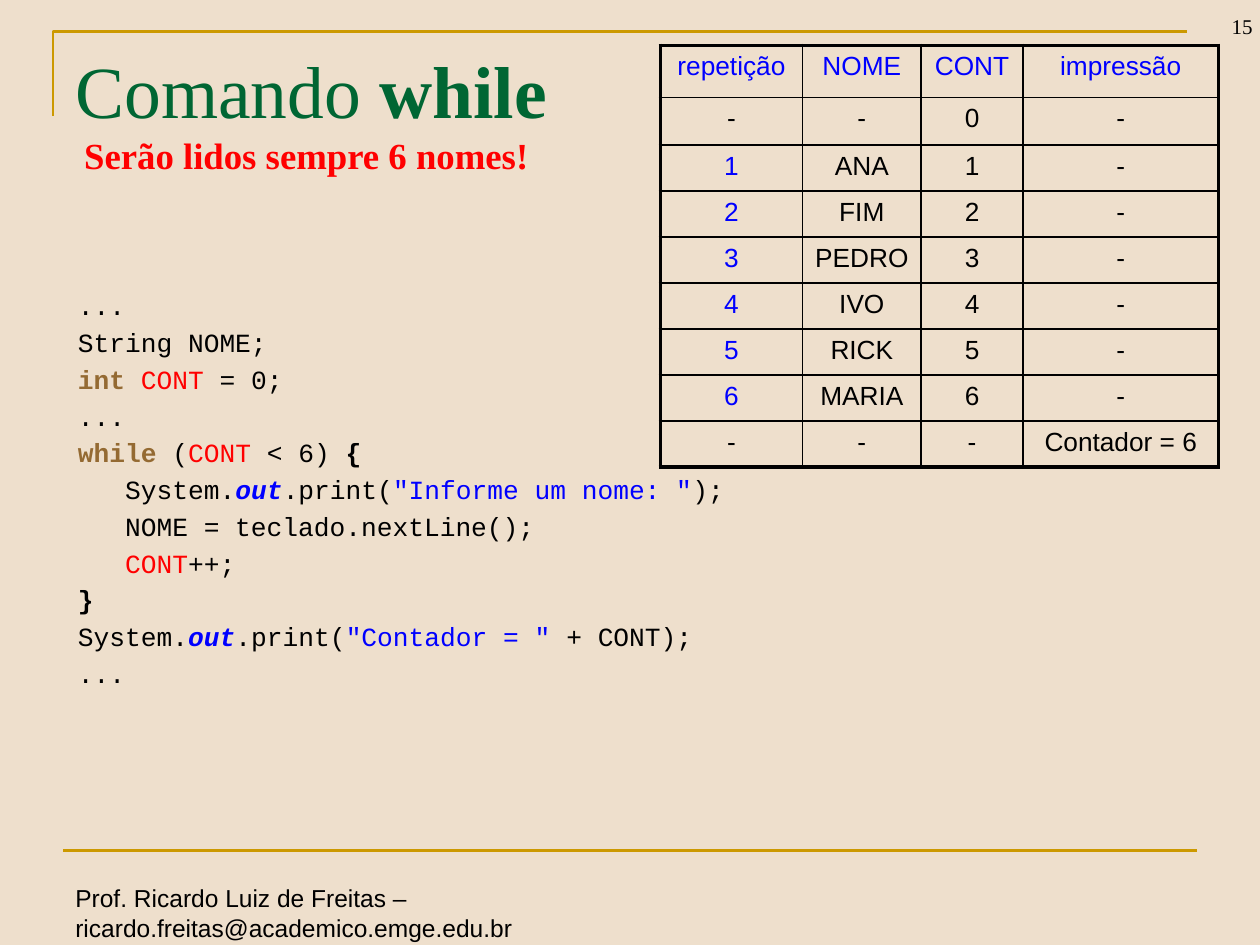
from lxml.etree import SubElement
from pptx import Presentation
from pptx.dml.color import RGBColor
from pptx.enum.shapes import MSO_CONNECTOR
from pptx.enum.text import MSO_ANCHOR, PP_ALIGN
from pptx.oxml import parse_xml
from pptx.oxml.ns import nsdecls, qn
from pptx.util import Inches, Pt

COLORS = {"sand": "EEDFCC", "gold": "CC9900", "green": "006633", "red": "FF0000",
          "brown": "946A32", "blue": "0000FF", "black": "000000"}

# Run styles: colour, bold, italic
STYLES = {"plain": ("black", False, False), "strong": ("black", True, False),
          "keyword": ("brown", True, False), "variable": ("red", False, False),
          "string": ("blue", False, False), "field": ("blue", True, True),
          "title": ("green", False, False), "title strong": ("green", True, False),
          "notice": ("red", True, False)}

presentation = Presentation()
presentation.slide_width, presentation.slide_height = Inches(10), Inches(7.5)
slide = presentation.slides.add_slide(presentation.slide_layouts[6])
slide.background.fill.solid()
slide.background.fill.fore_color.rgb = RGBColor.from_string(COLORS["sand"])


def shares(*values):
    """Turn alternating percentages of slide width and height into lengths."""
    sides = (presentation.slide_width, presentation.slide_height)
    return [int(sides[index % 2] * value / 100) for index, value in enumerate(values)]


def write_text(frame, lines, size, font, align=PP_ALIGN.LEFT, anchor=MSO_ANCHOR.TOP,
               gap=0, left=0, first=0):
    """Write lines of (text, style) runs, one paragraph to a line."""
    frame.word_wrap = True
    frame.vertical_anchor = anchor
    for index, line in enumerate(lines):
        paragraph = frame.paragraphs[0] if index == 0 else frame.add_paragraph()
        paragraph.alignment = align
        paragraph.space_before = Pt(gap if index else 0)
        properties = paragraph._p.get_or_add_pPr()
        properties.set("marL", str(Inches(left)))
        properties.set("indent", str(Inches(first)))
        for text, style in line:
            run = paragraph.add_run()
            run.text = text
            color, run.font.bold, run.font.italic = STYLES[style]
            run.font.color.rgb = RGBColor.from_string(COLORS[color])
            run.font.size, run.font.name = Pt(size), font


# Gold corner at the top and rule at the bottom
left, top, right, bottom = shares(4.2, 3.33, 94.2, 12.27)
builder = slide.shapes.build_freeform(left, bottom)
builder.add_line_segments([(left, top), (right, top)], close=False)
corner = builder.convert_to_shape()
corner.fill.background()
corner.shadow.inherit = False
rule = slide.shapes.add_connector(MSO_CONNECTOR.STRAIGHT, *shares(5, 90, 95, 90))
SubElement(rule._element.spPr, qn("a:effectLst"))
for outline in (corner.line, rule.line):
    outline.color.rgb = RGBColor.from_string(COLORS["gold"])
    outline.width = Pt(1.5)

# Footer, which wraps before the address, and page number
footer = slide.shapes.add_textbox(*shares(5, 92.8, 60, 4.53))
write_text(footer.text_frame, [
    [("Prof. Ricardo Luiz de Freitas – ricardo.freitas@academico.emge.edu.br", "plain")],
], size=14, font="Arial")
page_number = slide.shapes.add_textbox(*shares(92.9, -1.87, 7.5, 6.67))
write_text(page_number.text_frame, [[("15", "plain")]], size=12,
           font="Times New Roman", align=PP_ALIGN.RIGHT, anchor=MSO_ANCHOR.BOTTOM)

# Title with its notice
title = slide.shapes.add_textbox(*shares(5, 3.4, 90, 16.67))
write_text(title.text_frame, [
    [("Comando ", "title"), ("while", "title strong")],
    [("Serão lidos sempre 6 nomes!", "notice")],
], size=42, font="Times New Roman", anchor=MSO_ANCHOR.MIDDLE)
notice = title.text_frame.paragraphs[1]
notice.runs[0].font.size = Pt(21)
notice._p.get_or_add_pPr().set("marL", str(Inches(0.07)))

# Code listing
code = [
    [("...", "plain")],
    [("String NOME;", "plain")],
    [("int ", "keyword"), ("CONT", "variable"), (" = 0;", "plain")],
    [("...", "plain")],
    [("while", "keyword"), (" (", "plain"), ("CONT", "variable"), (" < 6) ", "plain"),
     ("{", "strong")],
    [("   System.", "plain"), ("out", "field"), (".print(", "plain"),
     ('"Informe um nome: "', "string"), (");", "plain")],
    [("   NOME = teclado.nextLine();", "plain")],
    [("   ", "plain"), ("CONT", "variable"), ("++;", "plain")],
    [("}", "strong")],
    [("System.", "plain"), ("out", "field"), (".print(", "plain"),
     ('"Contador = " ', "string"), ("+ CONT);", "plain")],
    [("...", "plain")],
]
listing = slide.shapes.add_textbox(*shares(5.1, 30, 63.1, 56.67))
write_text(listing.text_frame, code, size=15, font="Courier New",
           gap=3, left=0.39, first=-0.38)

# Trace table: each name read raises the counter by one
names = ["ANA", "FIM", "PEDRO", "IVO", "RICK", "MARIA"]
rows = [["repetição", "NOME", "CONT", "impressão"], ["-", "-", "0", "-"]]
rows += [[str(count), name, str(count), "-"] for count, name in enumerate(names, 1)]
rows.append(["-", "-", "-", "Contador = 6"])
last_row, last_column = len(rows) - 1, len(rows[0]) - 1

table = slide.shapes.add_table(len(rows), len(rows[0]),
                               *shares(52.4, 4.8, 44.3, 44.67)).table
table.first_row = table.horz_banding = False
for column, width in zip(table.columns, (11.3, 9.4, 8.1, 15.5)):
    column.width = shares(width)[0]
for row, height in zip(table.rows, [5.5, 5.07] + [4.87] * 7):
    row.height = shares(0, height)[1]

for row_index, values in enumerate(rows):
    for column_index, value in enumerate(values):
        cell = table.cell(row_index, column_index)
        cell.margin_left = cell.margin_right = Inches(0.05)
        cell.fill.background()
        is_blue = row_index == 0 or (column_index == 0 and value != "-")
        write_text(cell.text_frame, [[(value, "string" if is_blue else "plain")]],
                   size=15, font="Arial", align=PP_ALIGN.CENTER)
        # Thick outer border, thin inner lines
        outer_sides = {"lnL": column_index == 0, "lnR": column_index == last_column,
                       "lnT": row_index == 0, "lnB": row_index == last_row}
        for position, (side, is_outer) in enumerate(outer_sides.items()):
            border = parse_xml(
                f'<a:{side} {nsdecls("a")} w="{Pt(2.25 if is_outer else 1)}"><a:solidFill>'
                f'<a:srgbClr val="{COLORS["black"]}"/></a:solidFill></a:{side}>')
            cell._tc.get_or_add_tcPr().insert(position, border)

presentation.save("out.pptx")
